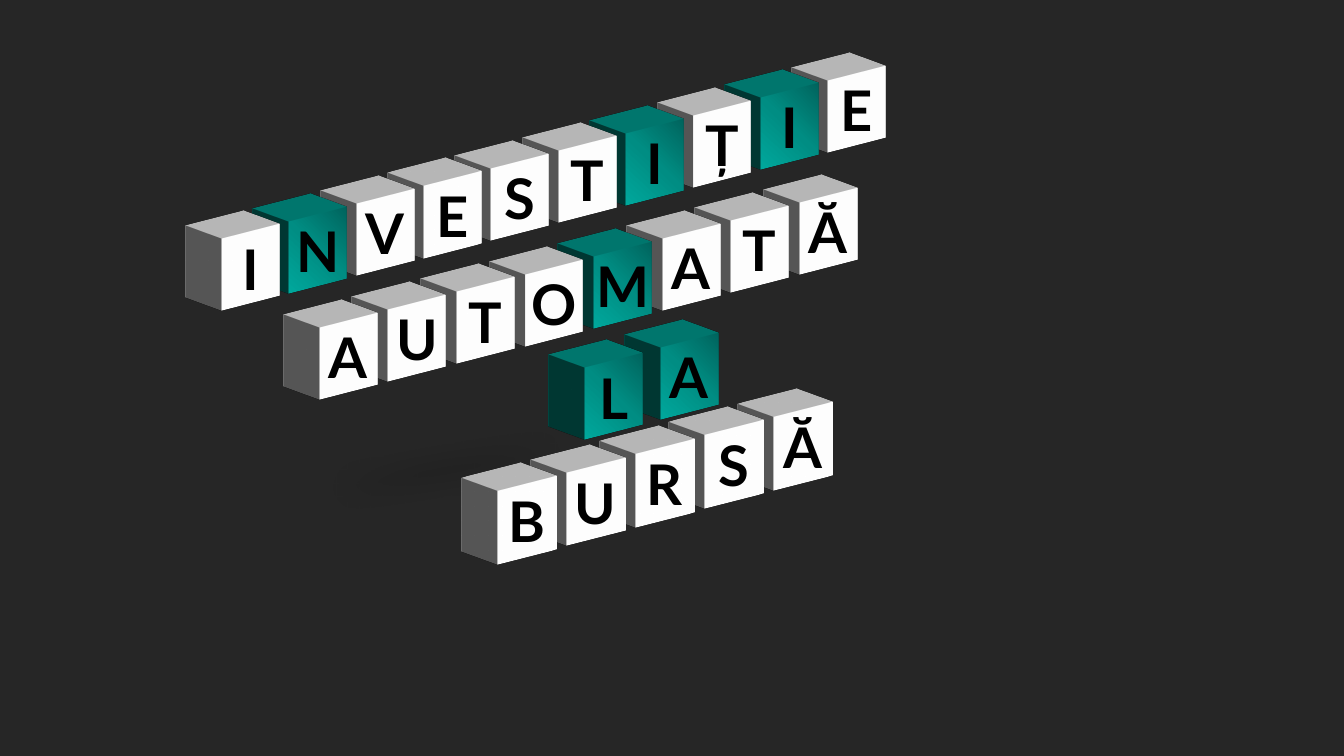
"""Build a slide of letter cubes spelling a title above soft shadows."""
from dataclasses import dataclass

from lxml import etree
from pptx import Presentation
from pptx import util as u
from pptx.dml.color import RGBColor
from pptx.enum import shapes, text
from pptx.oxml import ns

COLORS = {
    "background": "262626",
    "black": "000000",
    "white": "FFFFFF",
    "teal": "00A699",
    "teal_dark": "00655E",
    "teal_mid": "008F85",
    "teal_light": "00AA9E",
}
NAMESPACE = ns.nsdecls("a")


@dataclass
class Word:
    letters: str
    teal: tuple[int, ...]
    left: float
    top: float
    step: float
    rise: float
    size: float = 0.75


@dataclass
class Shadow:
    left: float
    top: float
    height: float = 0.55
    width: float = 5.45


BACK_SHADOWS = [Shadow(1.7, 4.36, 0.61), Shadow(2.42, 4.76), Shadow(2.7, 4.94)]
UPPER_WORDS = [
    Word("AUTOMATĂ", (4,), 3.08, 3.16, 0.68, 0.177),
    Word("INVESTIȚIE", (1, 6, 8), 2.11, 2.28, 0.668, 0.175),
    Word("LA", (0, 1), 5.71, 3.56, 0.75, 0.2),
]
MIDDLE_SHADOWS = [Shadow(1.86, 4.6), Shadow(2.21, 4.73)]
LOWER_WORDS = [Word("BURSĂ", (), 4.84, 4.78, 0.685, 0.185, 0.765)]
FRONT_SHADOWS = [Shadow(3.48, 5.1), Shadow(3.87, 5.28)]


def rgb(name: str) -> RGBColor:
    return RGBColor.from_string(COLORS[name])


def element(markup: str):
    return etree.fromstring(markup)


def add_filled(group, kind, left: float, top: float, width: float, height: float, color: str):
    shape = group.shapes.add_shape(kind, *map(u.Inches, (left, top, width, height)))
    shape.fill.solid()
    shape.fill.fore_color.rgb = rgb(color)
    shape.line.fill.background()
    shape.shadow.inherit = False
    return shape


def write_text(shape, content: str, *, size: float, color: str, font: str, bold: bool) -> None:
    frame = shape.text_frame
    frame.word_wrap = True
    frame.vertical_anchor = text.MSO_ANCHOR.MIDDLE
    paragraph = frame.paragraphs[0]
    paragraph.alignment = text.PP_ALIGN.CENTER
    run = paragraph.add_run()
    run.text = content
    run.font.size = u.Pt(size)
    run.font.bold = bold
    run.font.name = font
    run.font.color.rgb = rgb(color)


def apply_teal_gradient(shape) -> None:
    stops = "".join(
        f'<a:gs pos="{position}"><a:srgbClr val="{COLORS[name]}"/></a:gs>'
        for position, name in ((0, "teal_dark"), (50000, "teal_mid"), (100000, "teal_light"))
    )
    properties = shape.element.spPr
    properties.replace(
        properties.find(ns.qn("a:solidFill")),
        element(
            f'<a:gradFill {NAMESPACE} rotWithShape="1"><a:gsLst>{stops}</a:gsLst>'
            '<a:path path="circle"><a:fillToRect l="100000" b="100000"/></a:path></a:gradFill>'
        ),
    )


def extrude(shape, color: str) -> None:
    properties = shape.element.spPr
    properties.append(element(
        f'<a:scene3d {NAMESPACE}><a:camera prst="orthographicFront">'
        '<a:rot lat="1080000" lon="19200000" rev="0"/></a:camera>'
        '<a:lightRig rig="threePt" dir="t"/></a:scene3d>'
    ))
    properties.append(element(
        f'<a:sp3d {NAMESPACE} extrusionH="{u.Pt(40)}"><a:extrusionClr>'
        f'<a:srgbClr val="{COLORS[color]}"/></a:extrusionClr></a:sp3d>'
    ))


def add_word(group, word: Word) -> None:
    for index, letter in reversed(list(enumerate(word.letters))):
        color = "teal" if index in word.teal else "white"
        cube = add_filled(
            group, shapes.MSO_SHAPE.RECTANGLE,
            word.left + index * word.step, word.top - index * word.rise,
            word.size, word.size, color,
        )
        if color == "teal":
            apply_teal_gradient(cube)
        extrude(cube, color)
        write_text(cube, letter, size=40, color="black", font="Lato", bold=True)


def add_shadow(group, shadow: Shadow) -> None:
    ellipse = add_filled(
        group, shapes.MSO_SHAPE.OVAL,
        shadow.left, shadow.top, shadow.width, shadow.height, "black",
    )
    ellipse.rotation = 351
    properties = ellipse.element.spPr
    color = properties.find(ns.qn("a:solidFill"))[0]
    color.append(element(f'<a:alpha {NAMESPACE} val="50000"/>'))
    effects = properties.find(ns.qn("a:effectLst"))
    effects.append(element(f'<a:softEdge {NAMESPACE} rad="{u.Inches(0.25)}"/>'))


def main() -> None:
    presentation = Presentation()
    presentation.slide_width = u.Inches(13.33)
    presentation.slide_height = u.Inches(7.5)
    slide = presentation.slides.add_slide(presentation.slide_layouts[6])
    slide.background.fill.solid()
    slide.background.fill.fore_color.rgb = rgb("background")
    group = slide.shapes.add_group_shape()
    for item in BACK_SHADOWS + UPPER_WORDS + MIDDLE_SHADOWS + LOWER_WORDS + FRONT_SHADOWS:
        if isinstance(item, Word):
            add_word(group, item)
        else:
            add_shadow(group, item)
    presentation.save("out.pptx")


if __name__ == "__main__":
    main()
